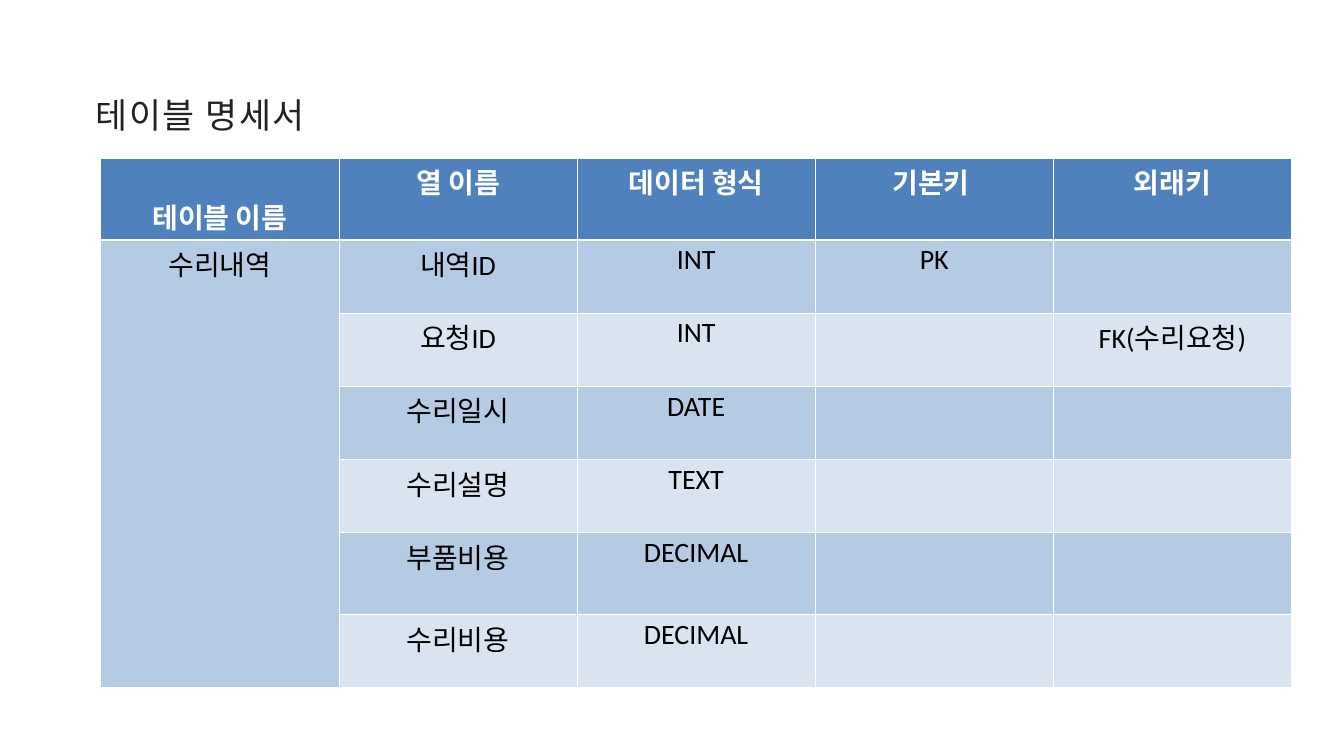
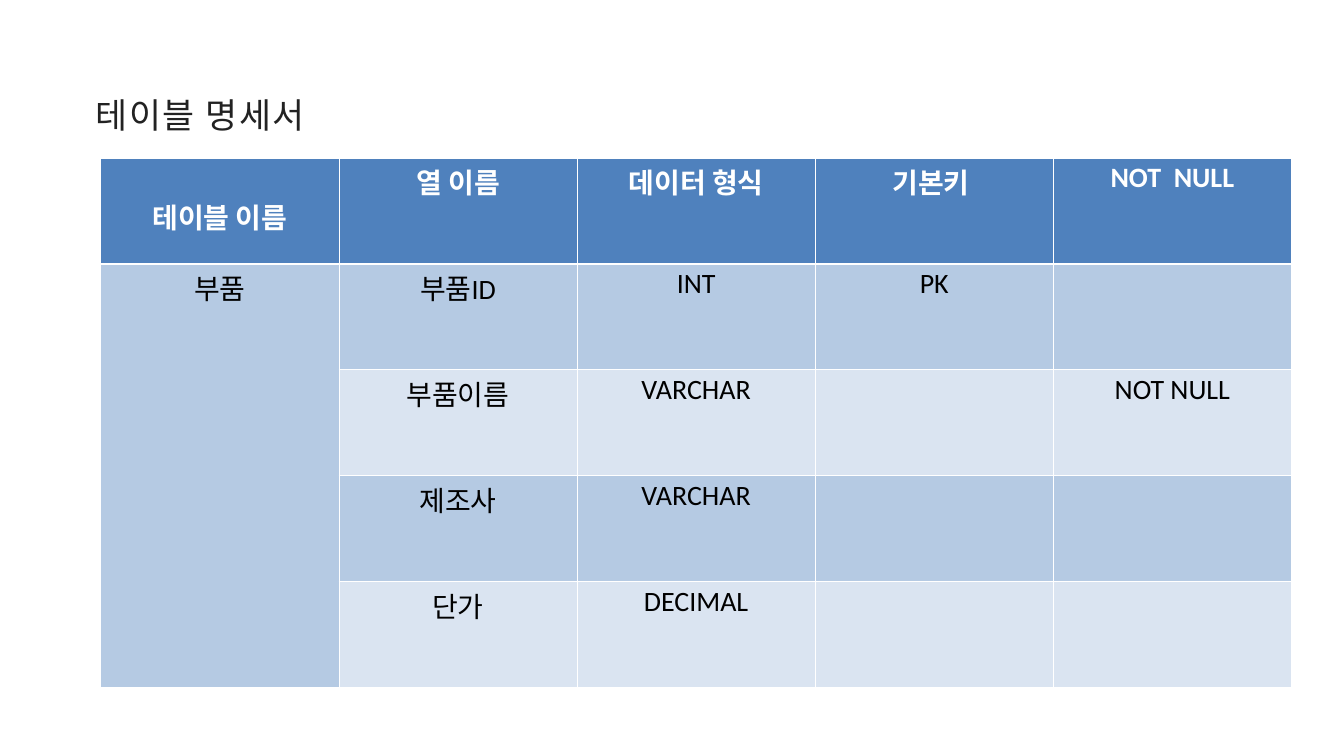
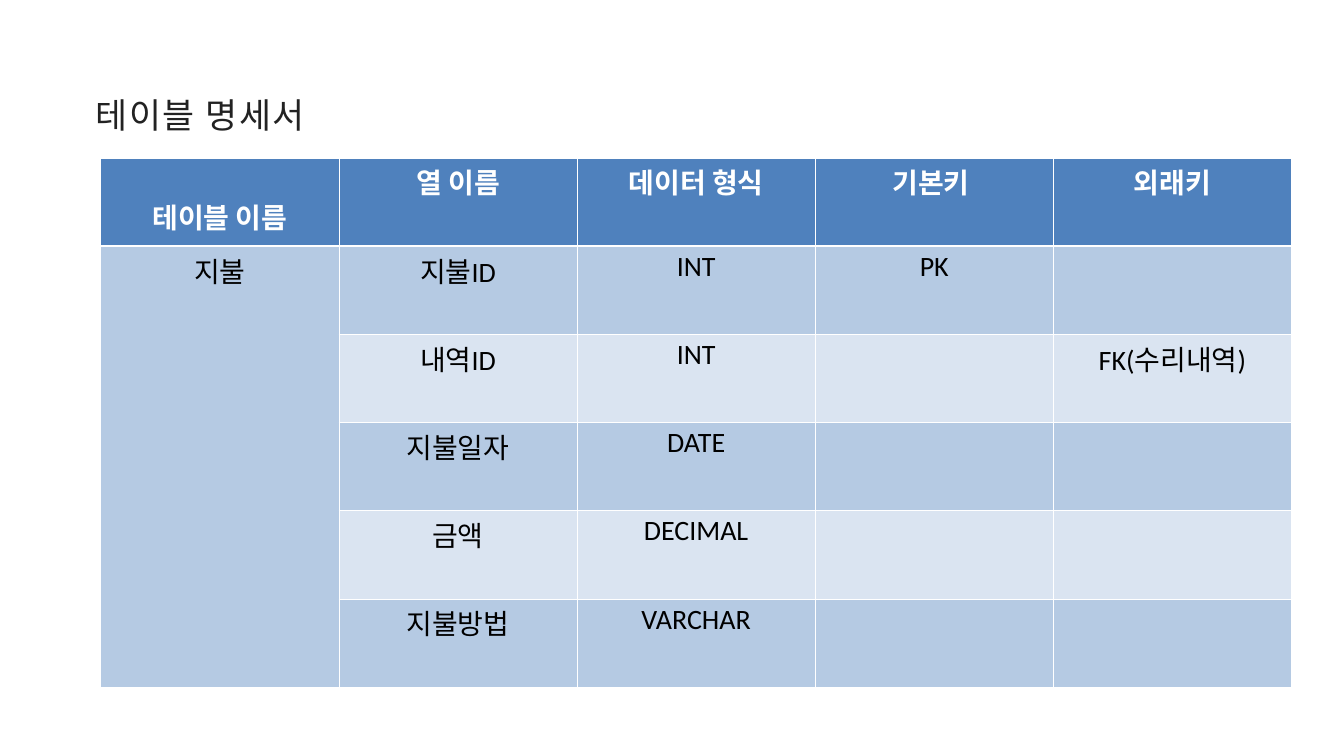
from lxml.etree import SubElement as Sub
from pptx import Presentation
from pptx.dml.color import RGBColor as RGB
from pptx.enum.text import MSO_ANCHOR as Anchor, MSO_AUTO_SIZE as Fit, PP_ALIGN as Align
from pptx.oxml.ns import qn
from pptx.util import Inches, Pt

WHITE = RGB(0xFF, 0xFF, 0xFF)
BLACK = RGB(0x00, 0x00, 0x00)
INK = RGB(0x22, 0x22, 0x22)
BLUE = RGB(0x4F, 0x81, 0xBD)
BANDS = RGB(0xB5, 0xCA, 0xE3), RGB(0xDA, 0xE4, 0xF1)

UNIT = Inches(0.25)
WIDE, HIGH = 80, 45
HEAD_BOX = 5.68, 5.16, 17, 2.88
GRID_BOX = 6, 9.4, 70.88, 31.52
TITLE = "테이블 명세서"
TITLE_FONT, CELL_FONT = "Noto Sans CJK KR", "Calibri"
HEADS = ["테이블 이름", "열 이름", "데이터 형식", "기본키 "]

TABLES = [
    ("수리내역", "외래키", [
        ("내역ID", "INT", "PK", ""),
        ("요청ID", "INT", "", "FK(수리요청)"),
        ("수리일시", "DATE", "", ""),
        ("수리설명", "TEXT", "", ""),
        ("부품비용", "DECIMAL", "", ""),
        ("수리비용", "DECIMAL", "", ""),
    ], [1.22, 1.09, 1.09, 1.09, 1.09, 1.22, 1.09]),
    ("부품", "NOT  NULL", [
        ("부품ID", "INT", "PK", ""),
        ("부품이름", "VARCHAR", "", "NOT NULL"),
        ("제조사", "VARCHAR", "", ""),
        ("단가", "DECIMAL", "", ""),
    ], [1] * 5),
    ("지불", "외래키", [
        ("지불ID", "INT", "PK", ""),
        ("내역ID", "INT", "", "FK(수리내역)"),
        ("지불일자", "DATE", "", ""),
        ("금액", "DECIMAL", "", ""),
        ("지불방법", "VARCHAR", "", ""),
    ], [1] * 6),
]


def units(box):
    """Turn grid columns and rows into slide lengths."""
    return [round(n * UNIT) for n in box]


def add_run(para, text, font, size, color, bold=False):
    """Add one formatted run and return it."""
    run = para.add_run()
    run.text = text
    run.font.name = font
    run.font.size = Pt(size)
    run.font.color.rgb = color
    run.font.bold = bold
    return run


def add_title(slide, box):
    """Place and format the title in its box."""
    shape = slide.shapes.title
    shape.left, shape.top, shape.width, shape.height = units(box)
    frame = shape.text_frame
    frame.margin_left = frame.margin_right = frame.margin_top = frame.margin_bottom = 0
    frame.vertical_anchor = Anchor.TOP
    frame.word_wrap = True
    frame.auto_size = Fit.SHAPE_TO_FIT_TEXT
    para = frame.paragraphs[0]
    para.alignment = Align.JUSTIFY
    para.line_spacing = Pt(51.9)
    props = add_run(para, TITLE, TITLE_FONT, 37.3, INK).font._element
    props.set("spc", "170")
    Sub(props, qn("a:ea"), typeface=TITLE_FONT)


def add_edges(cell, row):
    """Draw white borders, thicker beneath the header row."""
    thick = {"T": row == 1, "B": row == 0}
    props = cell._tc.get_or_add_tcPr()
    for side in "LRTB":
        line = Sub(props, qn(f"a:ln{side}"), w=str(Pt(3 if thick.get(side) else 1)))
        fill = Sub(line, qn("a:solidFill"))
        Sub(fill, qn("a:srgbClr"), val=str(WHITE))


def fill_cell(cell, row, text, color):
    """Set the borders, fill and centred text of a cell."""
    add_edges(cell, row)
    cell.fill.solid()
    cell.fill.fore_color.rgb = color
    para = cell.text_frame.paragraphs[0]
    para.alignment = Align.CENTER
    if text:
        add_run(para, text, CELL_FONT, 30, BLACK if row else WHITE, row == 0)


def add_grid(slide, box, name, last, fields, shares):
    """Build a specification table with its name merged down the first column."""
    rows = [HEADS + [last]] + [("", *field) for field in fields]
    left, top, width, height = units(box)
    table = slide.shapes.add_table(len(rows), len(rows[0]), left, top, width, height).table
    for col in table.columns:
        col.width = width // len(rows[0])
    for line, share in zip(table.rows, shares):
        line.height = round(height * share / sum(shares))
    for r, texts in enumerate(rows):
        for c, text in enumerate(texts):
            band = BANDS[(r - 1) % 2 if c else 0]
            label = name if (r, c) == (1, 0) else text
            fill_cell(table.cell(r, c), r, label, band if r else BLUE)
    table.cell(1, 0).merge(table.cell(len(fields), 0))
    table.cell(0, 0).margin_top = Inches(0.56)


def main():
    """Build one slide for each table and save the deck."""
    deck = Presentation()
    deck.slide_width, deck.slide_height = units((WIDE, HIGH))
    for spec in TABLES:
        slide = deck.slides.add_slide(deck.slide_layouts[5])
        add_title(slide, HEAD_BOX)
        add_grid(slide, GRID_BOX, *spec)
    deck.save("out.pptx")


if __name__ == "__main__":
    main()
